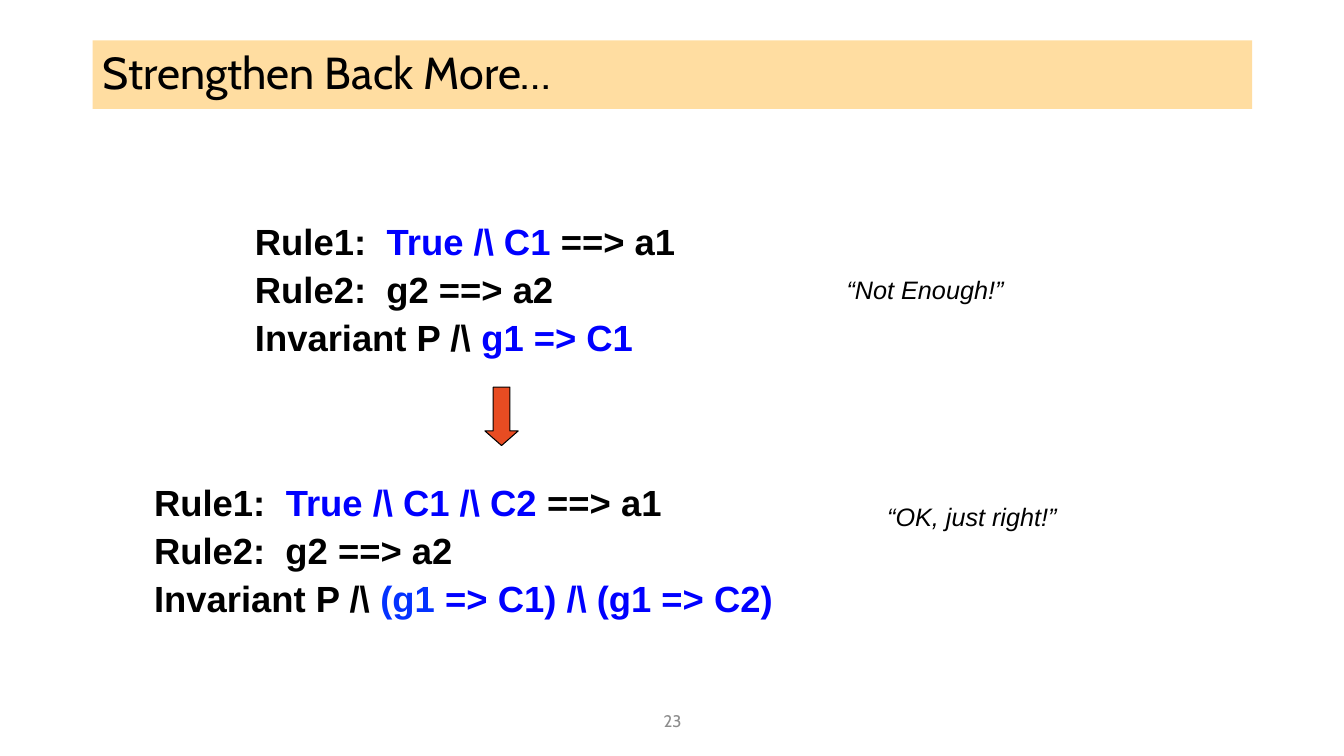
from dataclasses import dataclass

import lxml.etree
import pptx
import pptx.dml.color
import pptx.enum.shapes
import pptx.enum.text
import pptx.oxml.ns
import pptx.util

Inches = pptx.util.Inches
Anchor = pptx.enum.text.MSO_ANCHOR
Align = pptx.enum.text.PP_ALIGN
Preset = pptx.enum.shapes.MSO_SHAPE

COLORS = {
    "black": "000000",
    "blue": "0000FF",
    "bright blue": "0432FF",
    "band": "FFBD47",
    "arrow": "E84C22",
    "gray": "8C8C8C",
}


@dataclass(frozen=True)
class Span:
    text: str
    color: str = "black"


@dataclass(frozen=True)
class Frame:
    left: float
    top: float
    width: float
    height: float

    def lengths(self) -> list[int]:
        return [Inches(side) for side in (self.left, self.top, self.width, self.height)]


@dataclass(frozen=True)
class Style:
    font: str
    size: int
    bold: bool = False
    italic: bool = False
    align: Align = Align.LEFT
    anchor: Anchor = Anchor.TOP
    line_spacing: float = 1.0
    margin: float = 0
    indent: float = 0
    wrap: bool = True


@dataclass(frozen=True)
class TextBlock:
    frame: Frame
    style: Style
    lines: list[list[Span]]


TITLE = Style("Cabin", 32, anchor=Anchor.MIDDLE, line_spacing=0.9)
RULES = Style("Arial", 26, bold=True, line_spacing=1.1, margin=0.99, indent=-0.48)
REMARK = Style("Arial", 18, italic=True, align=Align.CENTER, wrap=False)
NUMBER = Style("Cabin", 12, align=Align.CENTER, anchor=Anchor.MIDDLE)

RULE_2 = [Span("Rule2:  g2 ==> a2")]

TITLE_FRAME = Frame(0.92, 0.4, 11.5, 0.68)
TITLE_LINES = [[Span("Strengthen Back More…")]]
ARROW_FRAME = Frame(4.81, 3.84, 0.33, 0.58)

BLOCKS = [
    TextBlock(Frame(4.42, 6.95, 4.5, 0.4), NUMBER, [[Span("23", "gray")]]),
    TextBlock(Frame(0.92, 4.67, 7.5, 1.75), RULES, [
        [Span("Rule1:  "), Span("True /\\ C1 /\\ C2 ", "blue"), Span("==> a1")],
        RULE_2,
        [Span("Invariant P /\\"), Span(" (g1 ", "bright blue"),
         Span("=> C1) /\\ (g1 => C2)", "blue")],
    ]),
    TextBlock(Frame(8.69, 4.92, 1.9, 0.4), REMARK, [[Span("“OK, just right!”")]]),
    TextBlock(Frame(1.92, 2.08, 5.05, 1.75), RULES, [
        [Span("Rule1:  "), Span("True /\\ C1 ", "blue"), Span("==> a1")],
        RULE_2,
        [Span("Invariant P /\\ "), Span("g1 => C1", "blue")],
    ]),
    TextBlock(Frame(8.29, 2.67, 1.77, 0.4), REMARK, [[Span("“Not Enough!”")]]),
]


def rgb(name: str) -> pptx.dml.color.RGBColor:
    return pptx.dml.color.RGBColor.from_string(COLORS[name])


def write_lines(box: pptx.shapes.autoshape.Shape, style: Style,
                lines: list[list[Span]]) -> None:
    text_frame = box.text_frame
    text_frame.word_wrap = style.wrap
    text_frame.vertical_anchor = style.anchor
    for index, spans in enumerate(lines):
        para = text_frame.add_paragraph() if index else text_frame.paragraphs[0]
        para.alignment = style.align
        para.line_spacing = style.line_spacing
        if style.margin:
            properties = para._p.get_or_add_pPr()
            properties.set("marL", str(Inches(style.margin)))
            properties.set("indent", str(Inches(style.indent)))
        para.font.name = style.font
        para.font.size = pptx.util.Pt(style.size)
        para.font.bold = style.bold
        para.font.italic = style.italic
        for span in spans:
            run = para.add_run()
            run.text = span.text
            run.font.color.rgb = rgb(span.color)


def add_block(page: pptx.slide.Slide, block: TextBlock) -> None:
    box = page.shapes.add_textbox(*block.frame.lengths())
    write_lines(box, block.style, block.lines)


def add_filled(page: pptx.slide.Slide, preset: Preset, frame: Frame,
               color: str) -> pptx.shapes.autoshape.Shape:
    shape = page.shapes.add_shape(preset, *frame.lengths())
    shape.shadow.inherit = False
    shape.fill.solid()
    shape.fill.fore_color.rgb = rgb(color)
    return shape


def add_title(page: pptx.slide.Slide) -> None:
    band = add_filled(page, Preset.RECTANGLE, TITLE_FRAME, "band")
    band.line.fill.background()
    fill_color = band._element.spPr.find(".//" + pptx.oxml.ns.qn("a:srgbClr"))
    lxml.etree.SubElement(fill_color, pptx.oxml.ns.qn("a:alpha"), val="51000")
    write_lines(band, TITLE, TITLE_LINES)


def add_arrow(page: pptx.slide.Slide) -> None:
    arrow = add_filled(page, Preset.DOWN_ARROW, ARROW_FRAME, "arrow")
    arrow.adjustments[0] = 0.5
    arrow.adjustments[1] = 0.438
    arrow.line.color.rgb = rgb("black")
    arrow.line.width = pptx.util.Pt(0.75)


def main() -> None:
    deck = pptx.Presentation()
    deck.slide_width, deck.slide_height = Inches(13.33), Inches(7.5)
    page = deck.slides.add_slide(deck.slide_layouts[6])

    # Title band
    add_title(page)

    # Page number, rules and remarks
    for block in BLOCKS:
        add_block(page, block)

    # Step from the first rules to the second
    add_arrow(page)

    deck.save("out.pptx")


if __name__ == "__main__":
    main()
